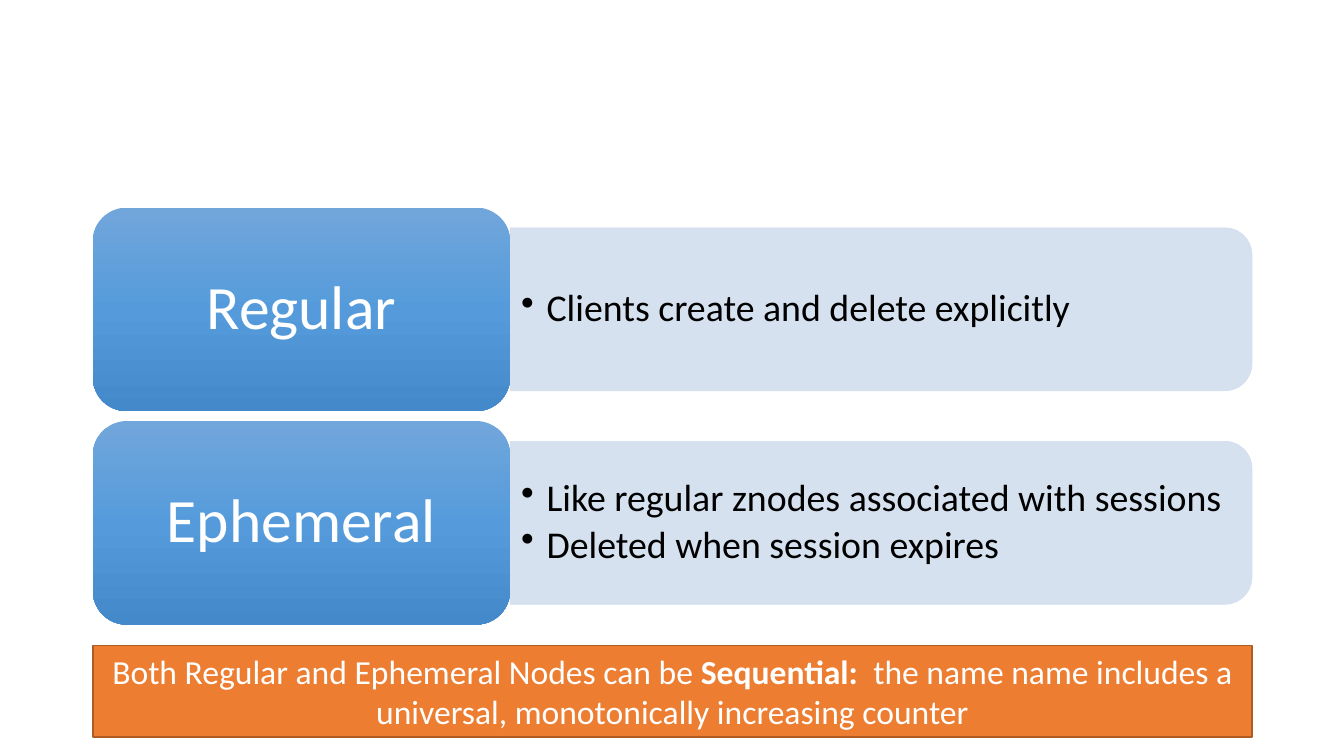
from copy import deepcopy
from dataclasses import dataclass

from pptx import Presentation
from pptx.dml.color import RGBColor as Rgb
from pptx.enum.shapes import MSO_SHAPE as Shape
from pptx.enum.text import MSO_ANCHOR as Anchor, PP_ALIGN as Align
from pptx.oxml.ns import qn
from pptx.oxml.xmlchemy import OxmlElement
from pptx.util import Cm, Pt


@dataclass(frozen=True)
class Theme:
    font: str = "Calibri"
    white: Rgb = Rgb.from_string("FFFFFF")
    black: Rgb = Rgb.from_string("000000")
    panel: Rgb = Rgb.from_string("D2DEEF")
    banner: Rgb = Rgb.from_string("ED7D31")
    banner_line: Rgb = Rgb.from_string("AF5C24")
    label_stops: tuple = ((0, "71A6DB"), (0.5, "559BDB"), (1, "448ACA"))
    label_size: Pt = Pt(44)
    bullet_size: Pt = Pt(27)
    banner_size: Pt = Pt(24)


THEME = Theme()
NODE_TYPES = [
    ("Regular", ["Clients create and delete explicitly"]),
    ("Ephemeral", ["Like regular znodes associated with sessions",
                   "Deleted when session expires"]),
]
BANNER = [
    ("Both Regular and Ephemeral Nodes can be ", False),
    ("Sequential:  ", True),
    ("the name name includes a universal, monotonically increasing counter", False),
]


def set_font(para, size, color):
    para.font.name = THEME.font
    para.font.size = size
    para.font.color.rgb = color


def set_frame(frame, side, end):
    frame.word_wrap = True
    frame.vertical_anchor = Anchor.MIDDLE
    frame.margin_left = frame.margin_right = Cm(side)
    frame.margin_top = frame.margin_bottom = Cm(end)


def add_bullet(para):
    props = para._p.get_or_add_pPr()
    props.set("marL", str(Cm(0.64)))
    props.set("indent", str(-Cm(0.64)))
    bullet = OxmlElement("a:buChar")
    bullet.set("char", "•")
    props.append(bullet)


def fill_gradient(shape, stops):
    shape.fill.gradient()
    shape.fill.gradient_angle = 270
    stop_list = shape._element.spPr.find(qn("a:gradFill")).find(qn("a:gsLst"))
    while len(stop_list) < len(stops):
        stop_list.append(deepcopy(stop_list[0]))
    for stop, (position, color) in zip(shape.fill.gradient_stops, stops):
        stop.position = position
        stop.color.rgb = Rgb.from_string(color)


def add_panel(page, left, top, width, height):
    panel = page.shapes.add_shape(
        Shape.ROUND_2_SAME_RECTANGLE,
        Cm(left + (width - height) / 2), Cm(top + (height - width) / 2),
        Cm(height), Cm(width))
    panel.rotation = 90
    panel.shadow.inherit = False
    panel.fill.solid()
    panel.fill.fore_color.rgb = THEME.panel
    panel.line.color.rgb = THEME.panel
    panel.line.width = Pt(0.5)
    alpha = OxmlElement("a:alpha")
    alpha.set("val", "90000")
    panel._element.spPr.find(qn("a:solidFill"))[0].append(alpha)


def add_bullets(page, left, top, width, height, lines):
    box = page.shapes.add_textbox(Cm(left), Cm(top), Cm(width), Cm(height))
    frame = box.text_frame
    set_frame(frame, 0.28, 0.15)
    frame.text = "\n".join(lines)
    for para in frame.paragraphs:
        add_bullet(para)
        para.line_spacing = 0.9
        para.space_after = Pt(4)
        set_font(para, THEME.bullet_size, THEME.black)


def add_label(page, left, top, width, height, name):
    label = page.shapes.add_shape(
        Shape.ROUNDED_RECTANGLE, Cm(left), Cm(top), Cm(width), Cm(height))
    label.shadow.inherit = False
    fill_gradient(label, THEME.label_stops)
    label.line.fill.background()
    frame = label.text_frame
    set_frame(frame, 0.46, 0.23)
    frame.text = name
    para = frame.paragraphs[0]
    para.alignment = Align.CENTER
    para.line_spacing = 0.9
    set_font(para, THEME.label_size, THEME.white)


def add_node_type(page, left, top, width, height, name, lines):
    label_width = width * 0.36
    panel_left = left + label_width
    panel_width = width - label_width
    inset = height * 0.1
    add_panel(page, panel_left, top + inset, panel_width, height - 2 * inset)
    add_bullets(page, panel_left, top + inset + 0.2, panel_width - 0.2,
                height - 2 * inset - 0.4, lines)
    add_label(page, left, top, label_width, height, name)


def add_banner(page, left, top, width, height):
    banner = page.shapes.add_shape(
        Shape.RECTANGLE, Cm(left), Cm(top), Cm(width), Cm(height))
    banner.shadow.inherit = False
    banner.fill.solid()
    banner.fill.fore_color.rgb = THEME.banner
    banner.line.color.rgb = THEME.banner_line
    banner.line.width = Pt(1)
    set_frame(banner.text_frame, 0.25, 0.13)
    para = banner.text_frame.paragraphs[0]
    para.alignment = Align.CENTER
    set_font(para, THEME.banner_size, THEME.white)
    for text, bold in BANNER:
        span = para.add_run()
        span.text = text
        span.font.bold = bold


def main():
    deck = Presentation()
    deck.slide_width, deck.slide_height = Cm(33.87), Cm(19.05)
    page = deck.slides.add_slide(deck.slide_layouts[6])
    left, width = 2.34, 29.21
    for row, (name, lines) in enumerate(NODE_TYPES):
        add_node_type(page, left, 5.23 + row * 5.38, width, 5.13, name, lines)
    add_banner(page, left, 16.26, width, 2.31)
    deck.save("out.pptx")


if __name__ == "__main__":
    main()
